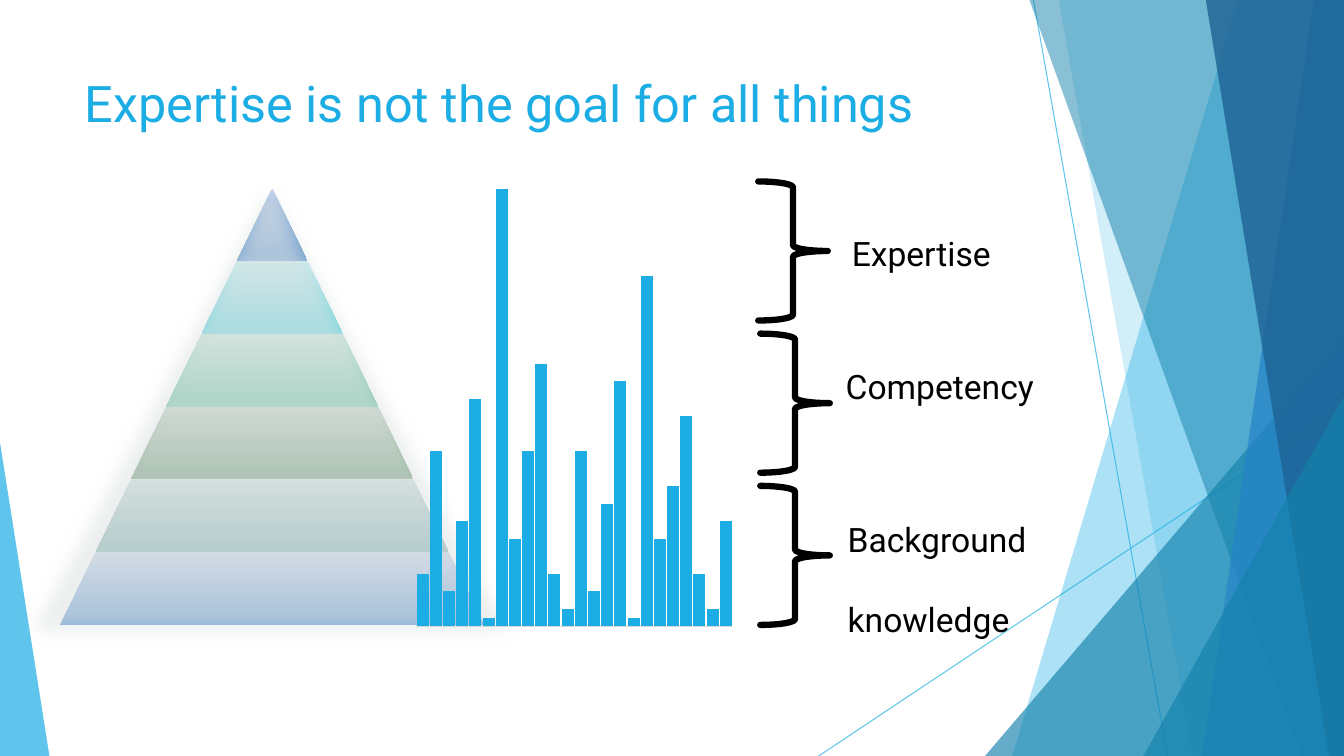
from lxml.etree import SubElement
from pptx import Presentation
from pptx.chart.data import CategoryChartData
from pptx.dml.color import RGBColor
from pptx.enum.chart import XL_CHART_TYPE, XL_TICK_LABEL_POSITION, XL_TICK_MARK
from pptx.enum.shapes import MSO_CONNECTOR, MSO_SHAPE
from pptx.enum.text import MSO_ANCHOR
from pptx.oxml.ns import qn
from pptx.util import Inches, Pt

# Content
TITLE = "Expertise is not the goal for all things"
LEVELS = [  # lines, left, top, width, height
    (["Expertise"], 8.35, 2.26, 1.6, 0.5),
    (["Competency"], 8.29, 3.58, 2.07, 0.5),
    (["Background", "knowledge"], 8.31, 5.1, 2.04, 0.91),
]
CATEGORIES = ["1", "2", "3", "4"]
VALUES = [12, 40, 8, 24, 52, 2, 100, 20, 40, 60, 12, 4,
          40, 8, 28, 56, 2, 80, 20, 32, 48, 12, 4, 24]

# Colours
FONT = "Roboto"
BLACK = RGBColor(0, 0, 0)
SKY = RGBColor(0x1C, 0xAD, 0xE4)
TEAL = RGBColor(0x14, 0x82, 0xAC)
BLUE = RGBColor(0x26, 0x83, 0xC6)
NAVY = RGBColor(0x1D, 0x62, 0x94)
MIST = RGBColor(0xDF, 0xE3, 0xE5)
AXIS_GREY = RGBColor(0xD9, 0xD9, 0xD9)
PYRAMID = [(RGBColor.from_string(light), RGBColor.from_string(dark)) for light, dark in [
    ("BFD0E7", "6296CD"), ("C2EBEE", "62D4DB"), ("C1E2D5", "6DC2A5"),
    ("BBCCBE", "6B9A75"), ("C6D9D7", "7FAFAC"), ("BFD0E7", "6296CD")]]

# Grid, in inches
WIDTH, HEIGHT = 13.33, 7.5
APEX_X, APEX_Y, BASE_Y, HALF_STEP = 2.7, 1.87, 6.2, 0.35
BRACE_TOP, BRACE_STEP = 1.8, 1.51

# Backdrop: polygons by top-left x, bottom-right x and bottom-left x
RAYS = [(12.28, WIDTH, 10.04, SKY, 36), (10.5, WIDTH, 11.83, SKY, 20)]
FRONT_RAYS = [(10.21, WIDTH, 12.91, TEAL, 50), (13.03, WIDTH, 11.92, BLUE, 70),
              (11.96, WIDTH, 13.18, NAVY, 80)]

presentation = Presentation()
presentation.slide_width, presentation.slide_height = Inches(WIDTH), Inches(HEIGHT)
slide = presentation.slides.add_slide(presentation.slide_layouts[5])
shapes = slide.shapes


def box(*lengths):
    return [Inches(length) for length in lengths]


def set_opacity(element, percent):
    for color in element.iter(qn("a:srgbClr")):
        SubElement(color, qn("a:alpha"), val=str(percent * 1000))


def fill_plain(shape, color, opacity):
    shape.shadow.inherit = False
    shape.fill.solid()
    shape.fill.fore_color.rgb = color
    shape.line.fill.background()
    set_opacity(shape._element.spPr, opacity)


def add_polygon(points):
    builder = shapes.build_freeform(*box(*points[0]), scale=1.0)
    builder.add_line_segments([box(*point) for point in points[1:]], close=True)
    shape = builder.convert_to_shape()
    shape.shadow.inherit = False
    return shape


def add_ray(top_left, right, bottom_left, color, opacity):
    ray = add_polygon([(top_left, 0), (right, 0), (right, HEIGHT), (bottom_left, HEIGHT)])
    fill_plain(ray, color, opacity)


def add_triangle(left, top, width, height, tip, color, opacity):
    triangle = shapes.add_shape(MSO_SHAPE.ISOSCELES_TRIANGLE, *box(left, top, width, height))
    triangle.adjustments[0] = tip
    fill_plain(triangle, color, opacity)
    return triangle


def write_text(frame, lines, size, color, wrap=True, gap=0):
    frame.word_wrap = wrap
    frame.vertical_anchor = MSO_ANCHOR.TOP
    for index, line in enumerate(lines):
        paragraph = frame.add_paragraph() if index else frame.paragraphs[0]
        if index:
            paragraph.space_before = Pt(gap)
        run = paragraph.add_run()
        run.text = line
        run.font.name, run.font.size, run.font.color.rgb = FONT, Pt(size), color
    return frame


# Backdrop
for ends in [(10.25, 0, 11.58, HEIGHT), (WIDTH, 4.03, 8.12, HEIGHT)]:
    line = shapes.add_connector(MSO_CONNECTOR.STRAIGHT, *box(*ends))
    line.line.color.rgb, line.line.width = SKY, Pt(0.75)
    set_opacity(line._element.spPr, 70)
    SubElement(line._element.spPr, qn("a:effectLst"))
for ray in RAYS:
    add_ray(*ray)
add_triangle(9.77, 3.33, 3.56, 4.17, 1, TEAL, 66)
for ray in FRONT_RAYS:
    add_ray(*ray)
add_triangle(11.34, 3.93, 1.99, 3.57, 1, TEAL, 66)
add_triangle(0, 4.39, 0.49, 3.11, 0, SKY, 70)

# Title, in front of the backdrop
title = shapes.title
title.left, title.top, title.width, title.height = box(0.74, 0.67, 9.4, 1.44)
write_text(title.text_frame, [TITLE], 36, SKY).paragraphs[0].alignment = 1
shapes._spTree.append(title._element)

# Pyramid
layer_height = (BASE_Y - APEX_Y) / len(PYRAMID)
for row, colors in enumerate(PYRAMID):
    top, bottom = APEX_Y + row * layer_height, APEX_Y + (row + 1) * layer_height
    upper, lower = row * HALF_STEP, (row + 1) * HALF_STEP
    layer = add_polygon([(APEX_X - lower, bottom), (APEX_X - upper, top),
                         (APEX_X + upper, top), (APEX_X + lower, bottom)])
    layer.line.fill.background()
    layer.fill.gradient()
    layer.fill.gradient_angle = 270
    for stop, color, position in zip(layer.fill.gradient_stops, colors, (0, 0.88)):
        stop.color.rgb, stop.position = color, position
veil = add_triangle(0, 1.45, 5.35, 4.96, 0.5, MIST, 60)
SubElement(veil._element.spPr.find(qn("a:effectLst")), qn("a:softEdge"), rad=str(Pt(12.5)))

# Column chart
chart_data = CategoryChartData()
chart_data.categories = CATEGORIES
chart_data.add_series("Series 1", VALUES)
chart = shapes.add_chart(XL_CHART_TYPE.COLUMN_CLUSTERED, *box(3.85, 0, 3.42, 6.29), chart_data).chart
chart.has_title = chart.has_legend = False
chart.font.name, chart.font.size, chart.font.color.rgb = FONT, Pt(10), BLACK
plot = chart.plots[0]
plot.gap_width, plot.overlap, plot.vary_by_categories = 10, -27, False
plot.series[0].format.fill.solid()
plot.series[0].format.fill.fore_color.rgb = SKY
for axis in (chart.category_axis, chart.value_axis):
    axis.has_major_gridlines = False
    axis.major_tick_mark = axis.minor_tick_mark = XL_TICK_MARK.NONE
    axis.tick_label_position = XL_TICK_LABEL_POSITION.NONE
chart.category_axis.format.line.color.rgb = AXIS_GREY
chart.category_axis.format.line.width = Pt(0.75)
chart.value_axis.format.line.fill.background()
chart.value_axis.minimum_scale, chart.value_axis.maximum_scale = 0, 120

# Chart plot area and clear background
chart_element = chart.element.find(qn("c:chart"))
plot_area = chart_element.find(qn("c:plotArea"))
for old_layout in plot_area.findall(qn("c:layout")):
    plot_area.remove(old_layout)
layout = SubElement(plot_area, qn("c:layout"))
plot_area.insert(0, layout)
manual = SubElement(layout, qn("c:manualLayout"))
for name, value in [("layoutTarget", "inner"), ("xMode", "edge"), ("yMode", "edge"),
                    ("x", "0.081"), ("y", "0.16"), ("w", "0.919"), ("h", "0.828")]:
    SubElement(manual, qn("c:" + name), val=value)
background = SubElement(chart.element, qn("c:spPr"))
SubElement(background, qn("a:noFill"))
SubElement(SubElement(background, qn("a:ln")), qn("a:noFill"))
chart_element.addnext(background)

# Braces and labels
for row, (lines, *place) in enumerate(LEVELS):
    left = 7.54 if row else 7.52
    brace = shapes.add_shape(MSO_SHAPE.RIGHT_BRACE,
                             *box(left, BRACE_TOP + row * BRACE_STEP, 0.69, 1.38))
    brace.shadow.inherit = False
    brace.fill.background()
    brace.line.color.rgb, brace.line.width = BLACK, Pt(4.5)
    brace._element.spPr.find(qn("a:ln")).set("cap", "rnd")
    label = shapes.add_textbox(*box(*place))
    write_text(label.text_frame, lines, 24, BLACK, wrap=False, gap=28)

presentation.save("out.pptx")
